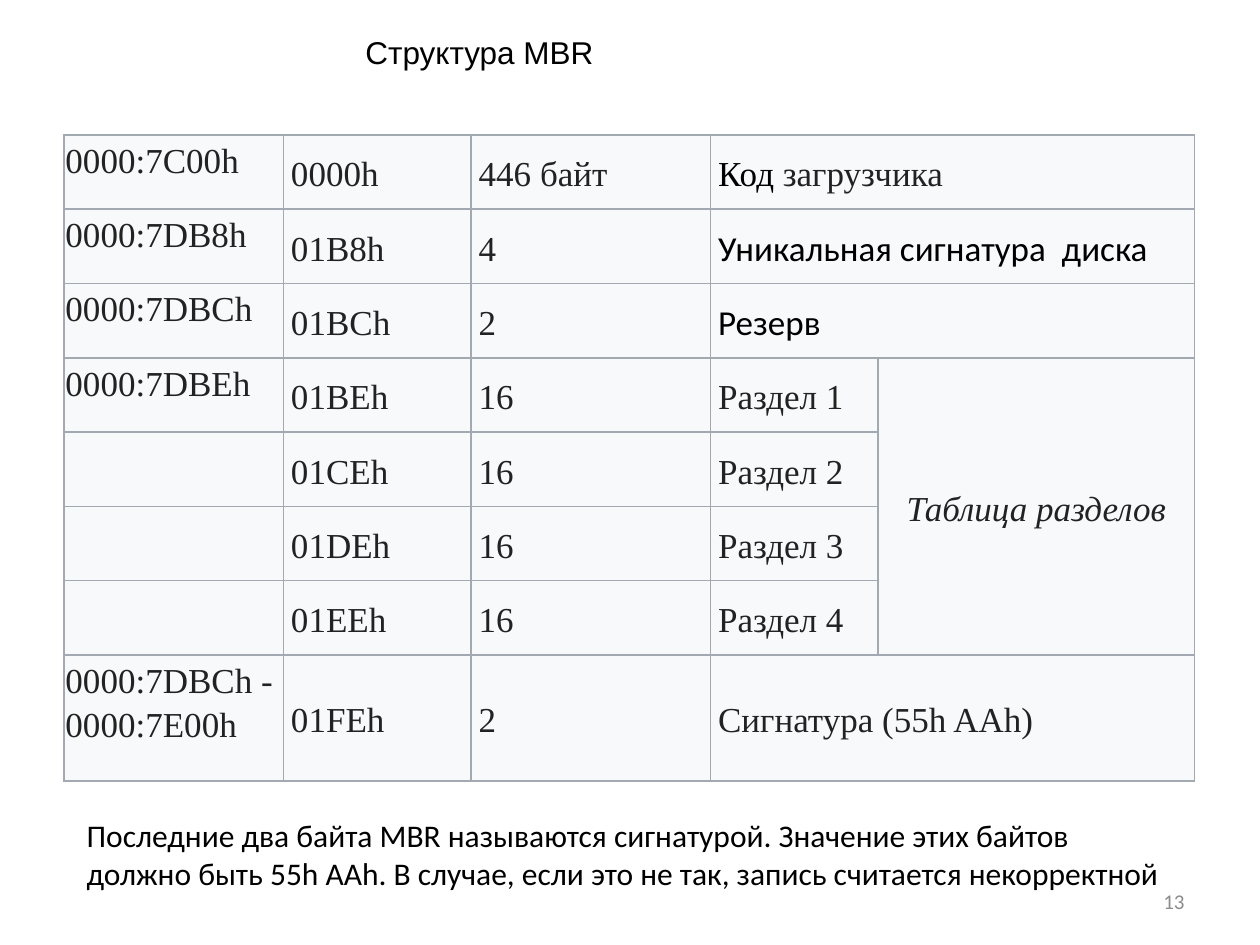
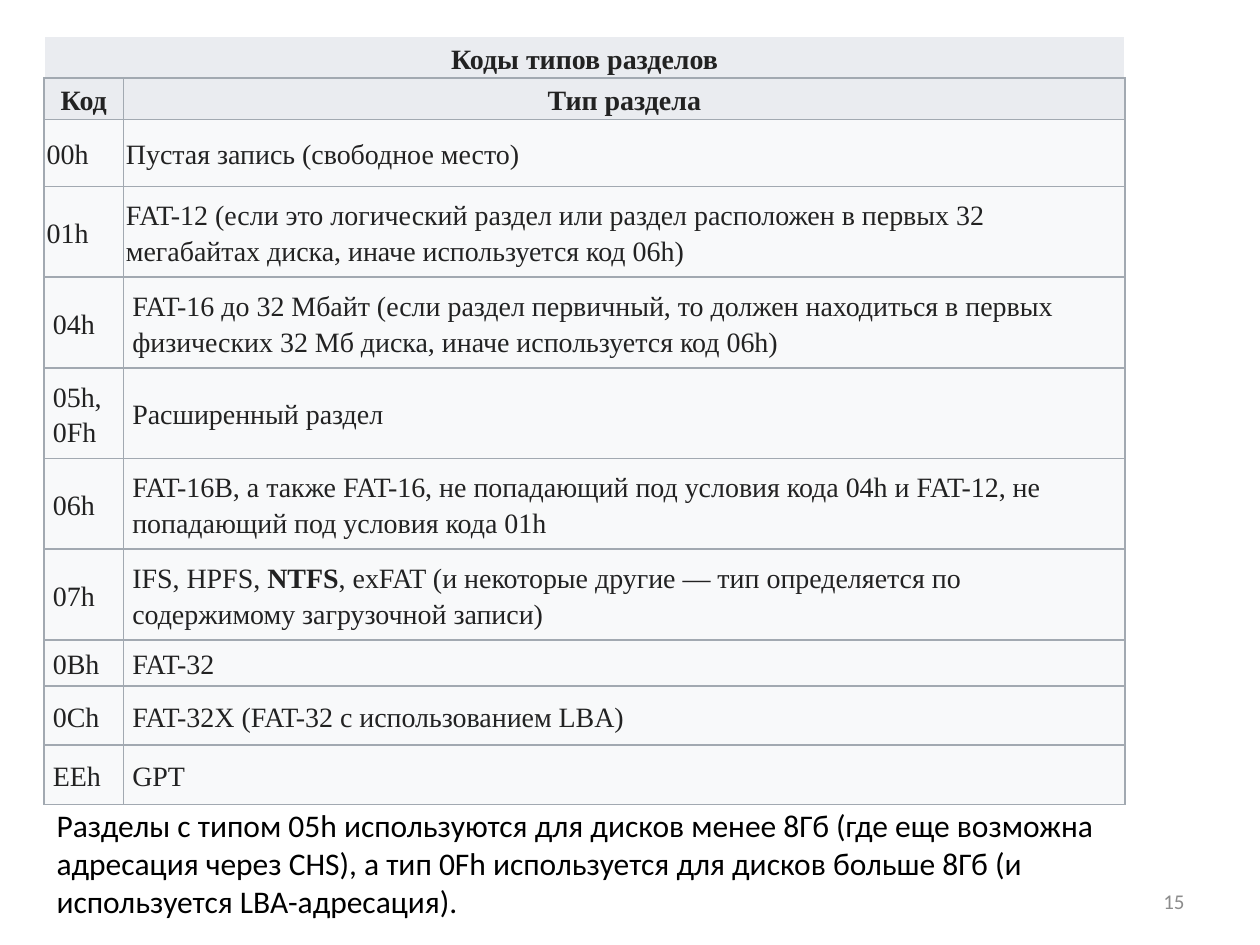
from lxml.etree import SubElement
from pptx import Presentation
from pptx.dml.color import RGBColor
from pptx.enum.text import MSO_ANCHOR as Anchor, MSO_AUTO_SIZE as AutoSize, PP_ALIGN as Align
from pptx.oxml.ns import qn
from pptx.util import Inches, Pt

BLACK, INK, GREY = "000000", "222222", "8C8C8C"
BORDER, HEADER_FILL, CELL_FILL = "A2A9B1", "EAECF0", "F8F9FA"
SERIF, SANS, TITLE_FONT = "Times New Roman", "Calibri", "Arial"
TITLE_ONLY, BLANK = 5, 6
TIGHT, SLIM, ROOMY = (0.01, 0.01), (0.02, 0.01), (0.07, 0.03)

DISK_FIELDS = [
    ("0000:7C00h", "0000h", "446 байт", [("Код", {"color": BLACK}), "\u00a0загрузчика"]),
    ("0000:7DB8h", "01B8h", "4",
     [("Уникальная сигнатура  диска", {"font": SANS, "color": BLACK})]),
    ("0000:7DBCh", "01BCh", "2", [("Резерв", {"font": SANS, "color": BLACK})]),
    ("0000:7DBEh", "01BEh", "16", "Раздел 1"),
    ("", "01CEh", "16", "Раздел 2"),
    ("", "01DEh", "16", "Раздел 3"),
    ("", "01EEh", "16", "Раздел 4"),
    ("0000:7DBCh - 0000:7E00h", "01FEh", "2", "Сигнатура (55h AAh)"),
]
PARTITIONS = range(3, 7)

PARTITION_TYPES = [
    ("00h", "Пустая запись (свободное место)", 0.53),
    ("01h", "FAT-12 (если это логический раздел или раздел расположен в первых 32 "
            "мегабайтах диска, иначе используется код 06h)", 0.72),
    ("04h", "FAT-16 до 32 Мбайт (если раздел первичный, то должен находиться в первых "
            "физических 32 Мб диска, иначе используется код 06h)", 0.72),
    ("05h, 0Fh", "Расширенный раздел", 0.72),
    ("06h", "FAT-16B, а также FAT-16, не попадающий под условия кода 04h и FAT-12, не "
            "попадающий под условия кода 01h", 0.72),
    ("07h", ["IFS, HPFS,\u00a0", ("NTFS", {"bold": True}),
             ", exFAT (и некоторые другие\u00a0— тип определяется по содержимому "
             "загрузочной записи)"], 0.72),
    ("0Bh", "FAT-32", 0.36),
    ("0Ch", "FAT-32X (FAT-32 с использованием LBA)", 0.47),
    ("EEh", "GPT", 0.47),
]


def rgb(value):
    return RGBColor.from_string(value)


def write(frame, text, align=Align.LEFT, spacing=None, **style):
    """Fill the frame with one paragraph; text is a string or a list of runs,
    each a string or a pair of string and style changes."""
    paragraph = frame.paragraphs[0]
    paragraph.alignment = align
    if spacing:
        paragraph.line_spacing = spacing
    for part in [text] if isinstance(text, str) else text:
        words, changes = (part, {}) if isinstance(part, str) else part
        look = {"size": 18, "font": SANS, "color": BLACK, "bold": False,
                "italic": False, **style, **changes}
        run = paragraph.add_run()
        run.text = words
        font = run.font
        font.name, font.size = look["font"], Pt(look["size"])
        font.bold, font.italic = look["bold"], look["italic"]
        font.color.rgb = rgb(look["color"])


def add_text(slide, box, text, anchor=Anchor.TOP, auto_size=AutoSize.SHAPE_TO_FIT_TEXT, **style):
    frame = slide.shapes.add_textbox(*map(Inches, box)).text_frame
    frame.word_wrap = True
    frame.auto_size = auto_size
    frame.vertical_anchor = anchor
    write(frame, text, **style)


def add_page_number(slide, number):
    add_text(slide, (7.17, 6.95, 2.33, 0.4), number, anchor=Anchor.MIDDLE,
             auto_size=AutoSize.NONE, align=Align.RIGHT, size=12, color=GREY)


def set_title(slide, box, text):
    title = slide.shapes.title
    title.left, title.top, title.width, title.height = map(Inches, box)
    frame = title.text_frame
    frame.auto_size = AutoSize.NONE
    frame.vertical_anchor = Anchor.TOP
    write(frame, text, font=TITLE_FONT)


def add_grid(slide, left, top, columns, rows):
    table = slide.shapes.add_table(len(rows), len(columns), Inches(left), Inches(top),
                                   Inches(sum(columns)), Inches(sum(rows))).table
    table.first_row = table.horz_banding = False
    for column, width in zip(table.columns, columns):
        column.width = Inches(width)
    for row, height in zip(table.rows, rows):
        row.height = Inches(height)
    return table


def style_cell(cell, fill=CELL_FILL, edges="LRTB"):
    properties = cell._tc.get_or_add_tcPr()
    for edge in edges:
        line = SubElement(properties, qn(f"a:ln{edge}"), w=str(Pt(1)))
        SubElement(SubElement(line, qn("a:solidFill")), qn("a:srgbClr"), val=BORDER)
    cell.fill.solid()
    cell.fill.fore_color.rgb = rgb(fill)


def fill_cell(cell, text, margins, anchor=Anchor.MIDDLE, **style):
    cell.margin_left = cell.margin_right = Inches(margins[0])
    cell.margin_top = cell.margin_bottom = Inches(margins[1])
    cell.vertical_anchor = anchor
    write(cell.text_frame, text, spacing=1.15, **{"font": SERIF, "color": INK, **style})


def add_mbr_table(slide, left, top):
    table = add_grid(slide, left, top, [1.74, 1.49, 1.9, 1.33, 2.51], [0.59] * 7 + [1])
    for cell in table.iter_cells():
        style_cell(cell)
    for r, (address, *details) in enumerate(DISK_FIELDS):
        if address:
            fill_cell(table.cell(r, 0), address, TIGHT, anchor=Anchor.TOP, size=20)
        for c, text in enumerate(details, 1):
            fill_cell(table.cell(r, c), text, (0.06, 0.03), size=20)
        if r not in PARTITIONS:
            table.cell(r, 3).merge(table.cell(r, 4))
    partition_table = table.cell(PARTITIONS[0], 4)
    partition_table.merge(table.cell(PARTITIONS[-1], 4))
    fill_cell(partition_table, "Таблица разделов", (0.06, 0.03), size=20,
              align=Align.CENTER, italic=True)


def add_type_table(slide, left, top):
    heights = [0.33, 0.33] + [height for *_, height in PARTITION_TYPES]
    table = add_grid(slide, left, top, [0.63, 7.95], heights)
    heading = {"size": 16, "align": Align.CENTER, "bold": True}
    for c, label in enumerate(("Код", "Тип раздела")):
        style_cell(table.cell(0, c), HEADER_FILL, edges="B")
        style_cell(table.cell(1, c), HEADER_FILL)
        fill_cell(table.cell(1, c), label, SLIM, **heading)
    table.cell(0, 0).merge(table.cell(0, 1))
    fill_cell(table.cell(0, 0), "Коды типов разделов", SLIM, **heading)
    for r, (code, meaning, _) in enumerate(PARTITION_TYPES, 2):
        for c, text in enumerate((code, meaning)):
            style_cell(table.cell(r, c))
            fill_cell(table.cell(r, c), text, SLIM if r < 4 else ROOMY, size=16)


def build_mbr_slide(deck):
    slide = deck.slides.add_slide(deck.slide_layouts[TITLE_ONLY])
    set_title(slide, (2.8, 0.21, 2.52, 0.71), "Структура MBR")
    add_mbr_table(slide, 0.51, 1.07)
    add_text(slide, (0.59, 6.43, 8.74, 0.71),
             "Последние два байта MBR называются сигнатурой. Значение этих байтов должно "
             "быть 55h AAh. В случае, если это не так, запись считается некорректной")
    add_page_number(slide, "13")


def build_types_slide(deck):
    slide = deck.slides.add_slide(deck.slide_layouts[BLANK])
    add_type_table(slide, 0.35, 0.29)
    add_text(slide, (0.35, 6.35, 8.98, 1.01),
             "Разделы с типом 05h используются для дисков менее 8Гб (где еще возможна "
             "адресация через CHS), а тип 0Fh используется для дисков больше 8Гб (и "
             "используется LBA-адресация).")
    add_page_number(slide, "15")


def main():
    deck = Presentation()
    deck.slide_width, deck.slide_height = Inches(10), Inches(7.5)
    build_mbr_slide(deck)
    build_types_slide(deck)
    deck.save("out.pptx")


if __name__ == "__main__":
    main()
